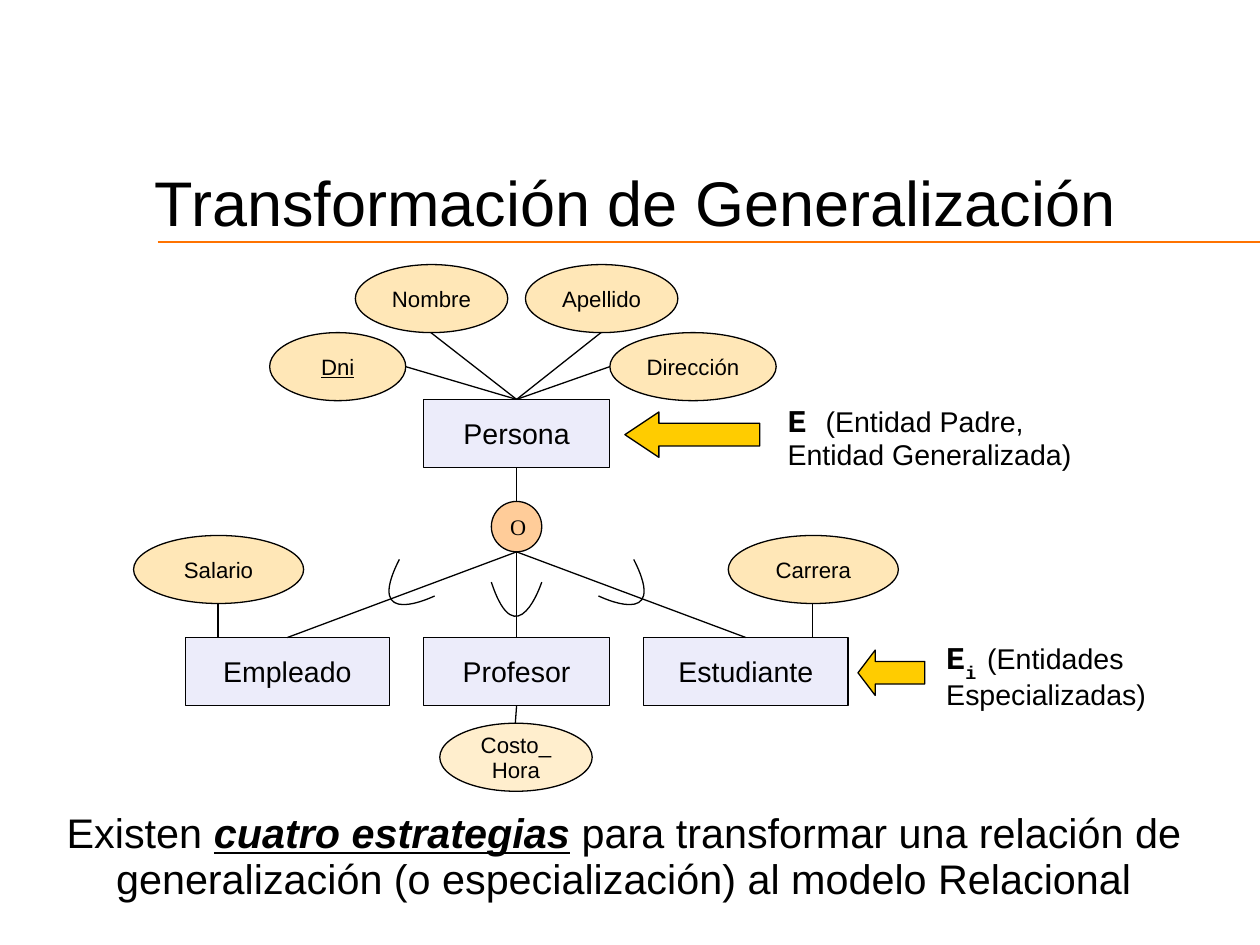
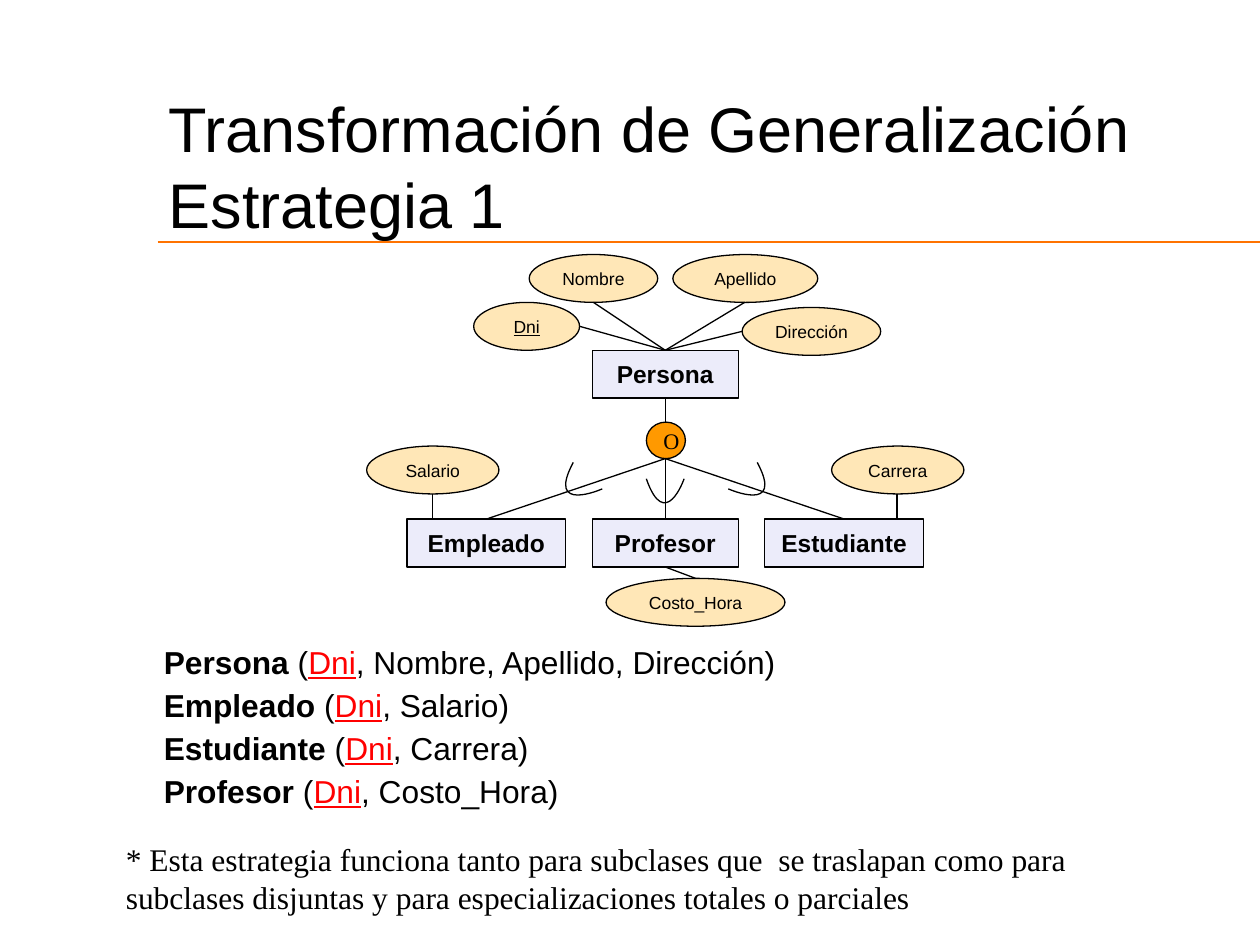
from copy import deepcopy
from dataclasses import dataclass, field

from lxml.etree import SubElement
from pptx import Presentation
from pptx.dml.color import RGBColor
from pptx.enum.shapes import MSO_CONNECTOR, MSO_SHAPE as SHAPE
from pptx.enum.text import MSO_ANCHOR as ANCHOR, MSO_AUTO_SIZE, PP_ALIGN as ALIGN
from pptx.oxml.ns import qn
from pptx.util import Emu, Pt

PX = 9144
BLACK = RGBColor(0, 0, 0)
RED = RGBColor(0xFF, 0, 0)
RULE_ORANGE = RGBColor(0xFF, 0x73, 0)
LAVENDER = RGBColor(0xEC, 0xEC, 0xFA)
CREAM = RGBColor(0xFF, 0xE7, 0xB7)
PALE_CREAM = RGBColor(0xFF, 0xEE, 0xCD)
PEACH = RGBColor(0xFF, 0xCC, 0x99)
ORANGE = RGBColor(0xFF, 0x99, 0)
GOLD = RGBColor(0xFF, 0xCC, 0)
SANS, MONO, SERIF = "Arial", "Courier New", "Times New Roman"
NODE_INSETS = (9, 6, 9, 4)
NOTE_INSETS = (9, 7, 9, 4)
TITLE = "Transformación de Generalización"
SUBCLASSES = ("Empleado", "Profesor", "Estudiante")


@dataclass
class Hierarchy:
    """Measures of one entity hierarchy, relative to its box."""
    height: int
    entities: dict
    attributes: dict
    circle: tuple
    circle_color: RGBColor
    middle_arc: tuple
    side_arc: tuple
    entity_size: float
    attribute_size: float
    bold: bool = False
    special_fills: dict = field(default_factory=dict)


OVERVIEW = Hierarchy(
    height=54,
    entities={"Persona": (230, 107, 148), "Empleado": (41, 296, 162),
              "Profesor": (230, 296, 148), "Estudiante": (405, 296, 162)},
    attributes={"Dni": (108, 54, 108), "Nombre": (176, 0, 121),
                "Apellido": (311, 0, 121), "Dirección": (378, 54, 132),
                "Salario": (0, 215, 135), "Carrera": (472, 215, 135),
                "Costo_Hora": (243, 364, 121)},
    circle=(284, 188, 40, 40), circle_color=PEACH,
    middle_arc=((-20, 252), (0, 313), (20, 252)),
    side_arc=((-93, 234), (-122, 291), (-65, 263)),
    entity_size=16.3, attribute_size=12.7,
    special_fills={"Costo_Hora": PALE_CREAM})

STRATEGY = Hierarchy(
    height=38,
    entities={"Persona": (179, 76, 116), "Empleado": (32, 210, 126),
              "Profesor": (179, 210, 116), "Estudiante": (316, 210, 126)},
    attributes={"Dni": (85, 38, 84), "Nombre": (129, 0, 102),
                "Apellido": (243, 0, 115), "Dirección": (298, 42, 110),
                "Salario": (0, 152, 105), "Carrera": (369, 152, 105),
                "Costo_Hora": (190, 257, 142)},
    circle=(222, 133, 31, 29), circle_color=ORANGE,
    middle_arc=((-15, 178), (0, 221), (15, 178)),
    side_arc=((-73, 165), (-95, 206), (-50, 186)),
    entity_size=14, attribute_size=10, bold=True)


def px(*lengths):
    """Turn px lengths into EMU."""
    return [Emu(length * PX) for length in lengths]


def add_run(paragraph, text, size, font=SANS, color=BLACK, baseline=0, **style):
    """Append one formatted run."""
    run = paragraph.add_run()
    run.text = text
    run.font.size = Pt(size)
    run.font.name = font
    run.font.color.rgb = color
    for name, value in style.items():
        setattr(run.font, name, value)
    if baseline:
        run.font._element.set("baseline", str(baseline * 1000))


def write(frame, lines, size, insets, align=ALIGN.LEFT, spacing=0.93,
          anchor=ANCHOR.TOP, wrap=True):
    """Fill a text frame with lines of (text, style) runs."""
    frame.auto_size = MSO_AUTO_SIZE.NONE
    frame.word_wrap = wrap
    frame.vertical_anchor = anchor
    (frame.margin_left, frame.margin_top,
     frame.margin_right, frame.margin_bottom) = px(*insets)
    for index, runs in enumerate(lines):
        paragraph = frame.add_paragraph() if index else frame.paragraphs[0]
        paragraph.alignment = align
        paragraph.line_spacing = spacing
        paragraph.space_before = Pt(0)
        for text, style in runs:
            add_run(paragraph, text, **{"size": size, **style})


def add_note(slide, box, lines, size, insets=NOTE_INSETS, **layout):
    """Add a text box."""
    frame = slide.shapes.add_textbox(*px(*box)).text_frame
    write(frame, lines, size, insets, **layout)


def outline(shape, fill=None):
    """Give a shape a thin black line and a plain fill or none."""
    shape.shadow.inherit = False
    shape.line.color.rgb = BLACK
    shape.line.width = Pt(0.75)
    if fill is None:
        shape.fill.background()
    else:
        shape.fill.solid()
        shape.fill.fore_color.rgb = fill


def add_node(slide, kind, box, fill, text, size, **style):
    """Add an outlined shape with a centred label."""
    node = slide.shapes.add_shape(kind, *px(*box))
    outline(node, fill)
    write(node.text_frame, [[(text, style)]], size, NODE_INSETS,
          ALIGN.CENTER, anchor=ANCHOR.MIDDLE)


def add_line(slide, start, end, color=BLACK):
    """Add a thin straight line."""
    line = slide.shapes.add_connector(MSO_CONNECTOR.STRAIGHT, *px(*start, *end))
    line.line.color.rgb = color
    line.line.width = Pt(0.75)
    SubElement(line._element.spPr, qn("a:effectLst"))


def add_arc(slide, start, control, end):
    """Add an open curve pulled towards its control point."""
    builder = slide.shapes.build_freeform(*start, scale=PX)
    builder.add_line_segments([control, end], close=False)
    arc = builder.convert_to_shape()
    outline(arc)
    track = arc._element.find(".//" + qn("a:path"))
    control_step, end_step = track.findall(qn("a:lnTo"))
    curve = SubElement(track, qn("a:cubicBezTo"))
    curve.extend([control_step[0], deepcopy(end_step[0]), end_step[0]])
    track.remove(control_step)
    track.remove(end_step)


def add_pointer(slide, box, head):
    """Add a gold arrow pointing left."""
    pointer = slide.shapes.add_shape(SHAPE.LEFT_ARROW, *px(*box))
    pointer.adjustments[1] = head
    outline(pointer, GOLD)


def side(box, name):
    """Return the middle of one side of a box."""
    x, y, width, height = box
    return {"top": (x + width // 2, y), "bottom": (x + width // 2, y + height),
            "left": (x, y + height // 2),
            "right": (x + width, y + height // 2)}[name]


def draw_hierarchy(slide, left, top, plan):
    """Draw entities, attributes, the overlap circle and their links."""
    boxes = {label: (left + x, top + y, width, plan.height)
             for label, (x, y, width) in {**plan.entities, **plan.attributes}.items()}
    x, y, width, height = plan.circle
    circle = (left + x, top + y, width, height)
    for label in plan.entities:
        add_node(slide, SHAPE.RECTANGLE, boxes[label], LAVENDER, label,
                 plan.entity_size, bold=plan.bold)
    for label in plan.attributes:
        add_node(slide, SHAPE.OVAL, boxes[label],
                 plan.special_fills.get(label, CREAM), label,
                 plan.attribute_size, underline=label == "Dni")
    add_node(slide, SHAPE.OVAL, circle, plan.circle_color, "O", 12.7, font=SERIF)

    parent_top = side(boxes["Persona"], "top")
    for label, edge in (("Dni", "right"), ("Nombre", "bottom"),
                        ("Apellido", "bottom"), ("Dirección", "left")):
        add_line(slide, side(boxes[label], edge), parent_top)
    add_line(slide, side(boxes["Persona"], "bottom"), side(circle, "top"))
    for label in SUBCLASSES:
        add_line(slide, side(circle, "bottom"), side(boxes[label], "top"))
    for label, entity in (("Salario", "Empleado"), ("Carrera", "Estudiante")):
        foot = side(boxes[label], "bottom")
        add_line(slide, foot, (foot[0], boxes[entity][1]))
    add_line(slide, side(boxes["Costo_Hora"], "top"),
             side(boxes["Profesor"], "bottom"))

    axis = parent_top[0]
    for arc, mirror in ((plan.middle_arc, 1), (plan.side_arc, 1),
                        (plan.side_arc, -1)):
        add_arc(slide, *[(axis + mirror * dx, top + dy) for dx, dy in arc])


def add_titled_slide(deck, box, titles):
    """Add a slide with its title and the orange rule."""
    slide = deck.slides.add_slide(deck.slide_layouts[5])
    title = slide.shapes.title
    title.left, title.top, title.width, title.height = px(*box)
    write(title.text_frame, [[(text, {})] for text in titles], 36,
          (10, 1, 10, 5), spacing=1.0)
    add_line(slide, (125, 192), (1000, 192), RULE_ORANGE)
    return slide


def draw_schemas(slide, left, top):
    """List the relational schema of each entity."""
    schemas = (("Persona", "Nombre, Apellido, Dirección"),
               ("Empleado", "Salario"), ("Estudiante", "Carrera"),
               ("Profesor", "Costo_Hora"))
    for row, (entity, columns) in enumerate(schemas):
        runs = [(entity, {"bold": True}), (" (", {}),
                ("Dni", {"color": RED, "underline": True}),
                (f", {columns})", {})]
        add_note(slide, (left, top + 34 * row, 541, 37), [runs], 18.1,
                 NODE_INSETS, wrap=False)


def build_overview(deck):
    """Build the slide that presents the generalization."""
    slide = add_titled_slide(deck, (113, 129, 887, 62), [TITLE])
    draw_hierarchy(slide, 106, 210, OVERVIEW)
    code = {"font": MONO, "size": 18.1, "bold": True}
    add_pointer(slide, (496, 327, 107, 36), 0.75)
    add_note(slide, (616, 314, 242, 63),
             [[("E ", code), ("(Entidad Padre,", {})],
              [("Entidad Generalizada)", {})]], 16.3, wrap=False)
    add_pointer(slide, (681, 516, 53, 36), 0.38)
    add_note(slide, (742, 499, 176, 71),
             [[("E", code), ("i ", {**code, "baseline": -33}), ("(Entidades", {})],
              [("Especializadas)", {})]], 16.3, wrap=False)
    emphasis = {"bold": True, "italic": True, "underline": True}
    add_note(slide, (44, 637, 903, 83),
             [[("Existen ", {}), ("cuatro estrategias", emphasis),
               (" para transformar una relación de", {})],
              [("generalización (o especialización) al modelo Relacional", {})]],
             23.6, align=ALIGN.CENTER, wrap=False)


def build_strategy(deck):
    """Build the slide of the first strategy."""
    slide = add_titled_slide(deck, (124, 70, 887, 62), [TITLE, "Estrategia 1"])
    draw_hierarchy(slide, 291, 202, STRATEGY)
    draw_schemas(slide, 121, 507)
    remark = ("* Esta estrategia funciona tanto para subclases que  se traslapan "
              "como para subclases disjuntas y para especializaciones totales o "
              "parciales")
    add_note(slide, (90, 662, 857, 71), [[(remark, {"font": SERIF})]], 18,
             (10, 5, 10, 5), spacing=1.0)


def main():
    """Build and save the presentation."""
    deck = Presentation()
    deck.slide_width, deck.slide_height = px(1000, 750)
    build_overview(deck)
    build_strategy(deck)
    deck.save("out.pptx")


if __name__ == "__main__":
    main()
